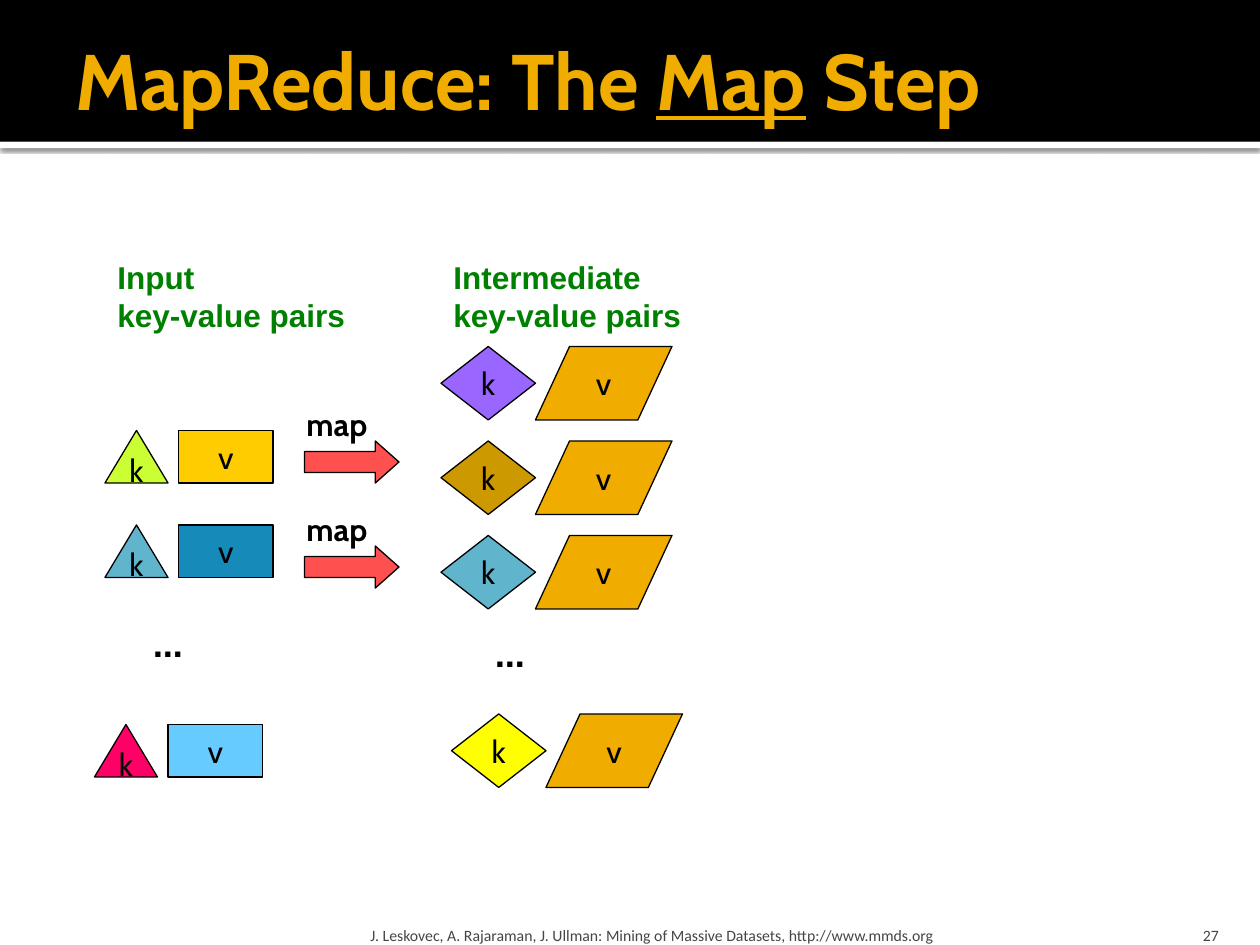
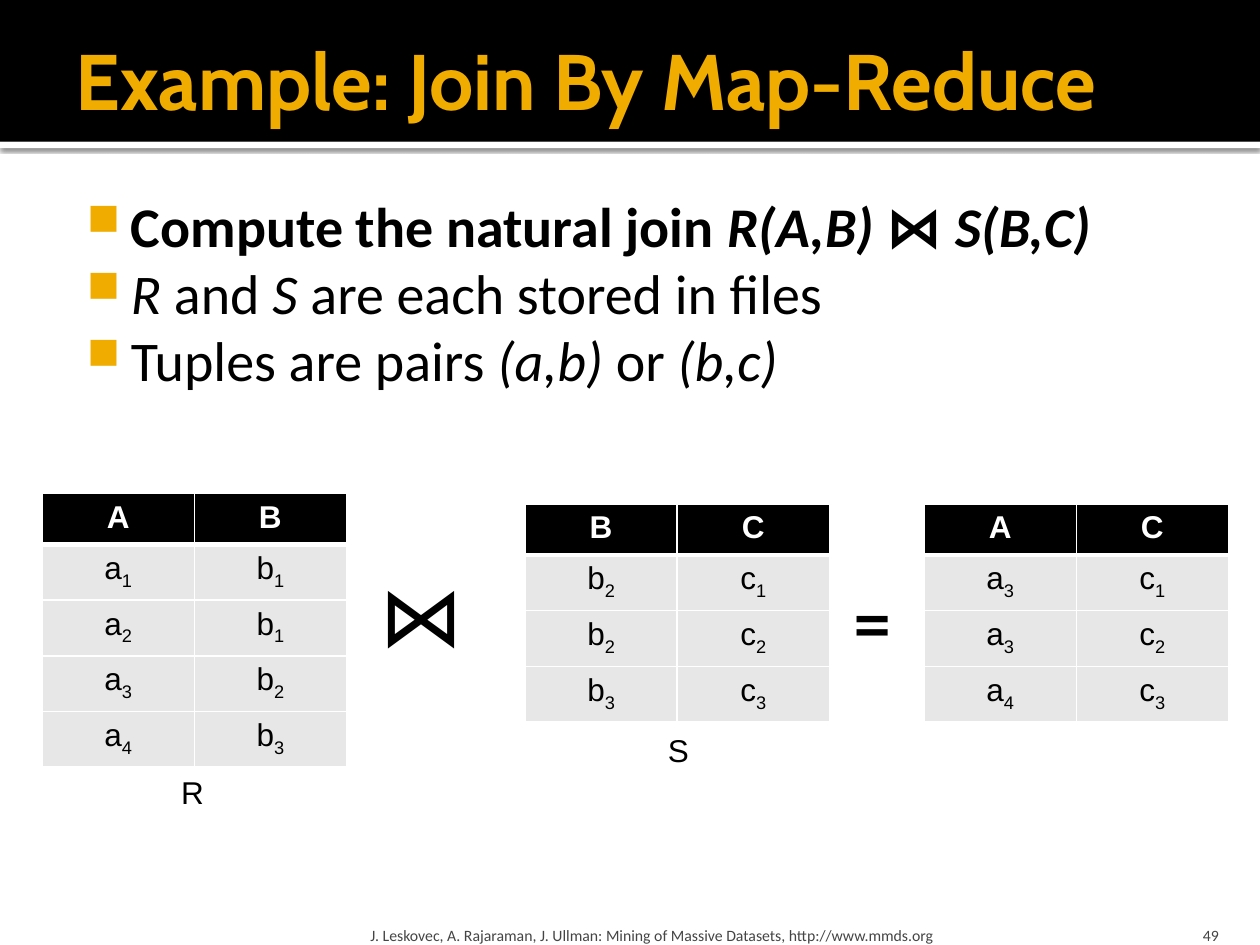
import pptx
import pptx.dml.color
import pptx.enum.shapes
import pptx.enum.text
import pptx.oxml
import pptx.oxml.ns
import pptx.util
import lxml.etree

Pt = pptx.util.Pt
SHAPES = pptx.enum.shapes.MSO_SHAPE
ANCHOR = pptx.enum.text.MSO_ANCHOR
ALIGN = pptx.enum.text.PP_ALIGN

COLORS = {
    "black": "000000",
    "white": "FFFFFF",
    "gold": "F0AD00",
    "green": "008000",
    "footer": "454545",
    "cell": "E7E7E7",
    "arrow": "FF5050",
    "lime": "CCFF33",
    "amber": "FFCC00",
    "teal": "60B5CC",
    "blue": "168BBA",
    "pink": "FF0066",
    "sky": "66CCFF",
    "violet": "9966FF",
    "ochre": "CC9900",
    "yellow": "FFFF00",
}
DISPLAY, BODY, PLAIN = "Cabin", "Calibri", "Arial"
FOOTER = "J. Leskovec, A. Rajaraman, J. Ullman: Mining of Massive Datasets, http://www.mmds.org"
INSETS = (7.2, 3.6, 7.2, 3.6)
CELL_WIDTH, ROW_HEIGHT = 87, 29.2


def rgb(name):
    return pptx.dml.color.RGBColor.from_string(COLORS[name])


def add_xml(parent, tag, **attributes):
    child = lxml.etree.SubElement(parent, pptx.oxml.ns.qn(tag))
    for name, value in attributes.items():
        child.set(name, str(value))
    return child


def write_text(paragraph, text, size=18, font=DISPLAY, color="black",
               bold=False, italic=False, underline=False, subscript=False):
    run = paragraph.add_run()
    run.text = text
    run.font.size = Pt(size)
    run.font.name = font
    run.font.color.rgb = rgb(color)
    run.font.bold = bold
    run.font.italic = italic
    run.font.underline = underline
    if subscript:
        run._r.get_or_add_rPr().set("baseline", "-25000")


def add_text_box(slide, box, lines, anchor=ANCHOR.TOP, align=ALIGN.LEFT,
                 insets=INSETS, wrap=True, **text_format):
    shape = slide.shapes.add_textbox(*map(Pt, box))
    frame = shape.text_frame
    frame.word_wrap = wrap
    if not wrap:
        frame.auto_size = pptx.enum.text.MSO_AUTO_SIZE.SHAPE_TO_FIT_TEXT
    frame.vertical_anchor = anchor
    frame.margin_left, frame.margin_top, frame.margin_right, frame.margin_bottom = map(Pt, insets)
    for index, parts in enumerate(lines):
        paragraph = frame.add_paragraph() if index else frame.paragraphs[0]
        paragraph.alignment = align
        for text, changes in parts:
            write_text(paragraph, text, **{**text_format, **changes})
    return shape


def add_label(slide, box, *lines, **text_format):
    add_text_box(slide, box, [[(line, {})] for line in lines], wrap=False, **text_format)


def add_figure(slide, kind, box, fill, label="", outline=True, adjustments=()):
    shape = slide.shapes.add_shape(kind, *map(Pt, box))
    shape.shadow.inherit = False
    shape.fill.solid()
    shape.fill.fore_color.rgb = rgb(fill)
    if outline:
        shape.line.color.rgb = rgb("black")
        shape.line.width = Pt(0.75)
    else:
        shape.line.fill.background()
    for index, value in enumerate(adjustments):
        shape.adjustments[index] = value
    if label:
        frame = shape.text_frame
        frame.word_wrap = False
        frame.vertical_anchor = ANCHOR.MIDDLE
        frame.paragraphs[0].alignment = ALIGN.CENTER
        write_text(frame.paragraphs[0], label)
    return shape


def add_band_shadow(shape):
    effects = shape._element.spPr.find(pptx.oxml.ns.qn("a:effectLst"))
    shadow = add_xml(effects, "a:outerShdw", blurRad=Pt(2.5), dist=Pt(0.8),
                     dir=5400000, algn="tl", rotWithShape=0)
    color = add_xml(shadow, "a:srgbClr", val=COLORS["black"])
    add_xml(color, "a:alpha", val=60000)


def add_frame(presentation, title, number):
    slide = presentation.slides.add_slide(presentation.slide_layouts[6])
    stripe = add_figure(slide, SHAPES.RECTANGLE, (0, 81, 720, 3.6), "white", outline=False)
    add_band_shadow(stripe)
    add_figure(slide, SHAPES.RECTANGLE, (0, 0, 720, 81), "black", outline=False)
    add_text_box(slide, (36, 6, 648, 78), [title], anchor=ANCHOR.MIDDLE,
                 insets=(7.2, 3.6, 3.6, 3.6), size=45, color="gold", bold=True)
    small_print = {"anchor": ANCHOR.BOTTOM, "size": 9, "font": BODY, "color": "footer"}
    add_text_box(slide, (208, 518.4, 433.5, 21.6), [[(FOOTER, {})]],
                 insets=(3.6, 3.6, 3.6, 0), **small_print)
    add_text_box(slide, (646, 518.4, 57.6, 21.6), [[(str(number), {})]],
                 insets=(7.2, 3.6, 7.2, 0), align=ALIGN.RIGHT, **small_print)
    return slide


def add_input_pair(slide, left, top, key_color, value_color):
    add_figure(slide, SHAPES.RECTANGLE, (left + 42, top, 54, 30), value_color, "v")
    add_figure(slide, SHAPES.ISOSCELES_TRIANGLE, (left, top, 36, 30), key_color, "k")


def add_intermediate_pair(slide, left, top, key_color):
    add_figure(slide, SHAPES.DIAMOND, (left, top, 54, 42), key_color, "k")
    add_figure(slide, SHAPES.PARALLELOGRAM, (left + 54, top, 78, 42), "gold", "v",
               adjustments=(0.464,))


def add_map_arrow(slide, top):
    add_figure(slide, SHAPES.RIGHT_ARROW, (174, top + 24, 54, 24), "arrow",
               adjustments=(0.5, 0.562))
    add_label(slide, (168, top, 49.5, 29), "map", bold=True)


def add_bullet(paragraph):
    properties = paragraph._p.get_or_add_pPr()
    properties.set("marL", str(Pt(34.5)))
    properties.set("indent", str(Pt(-25.2)))
    color = add_xml(properties, "a:buClr")
    add_xml(color, "a:srgbClr", val=COLORS["gold"])
    add_xml(properties, "a:buSzPct", val=80000)
    add_xml(properties, "a:buChar", char="■")


def add_cell_border(cell, side, width):
    line = add_xml(cell._tc.get_or_add_tcPr(), f"a:ln{side}", w=Pt(width))
    fill = add_xml(line, "a:solidFill")
    add_xml(fill, "a:srgbClr", val=COLORS["white"])


def add_relation(slide, left, top, header, rows):
    records = [header, *rows]
    table = slide.shapes.add_table(
        len(records), len(header), Pt(left), Pt(top),
        Pt(CELL_WIDTH * len(header)), Pt(ROW_HEIGHT * len(records))).table
    table.horz_banding = False
    for column in table.columns:
        column.width = Pt(CELL_WIDTH)
    for row_index, record in enumerate(records):
        table.rows[row_index].height = Pt(ROW_HEIGHT)
        is_header = row_index == 0
        for column_index, name in enumerate(record):
            cell = table.cell(row_index, column_index)
            add_cell_border(cell, "L", 1)
            add_cell_border(cell, "R", 1)
            add_cell_border(cell, "T", 3 if row_index == 1 else 1)
            add_cell_border(cell, "B", 3 if is_header else 1)
            cell.fill.solid()
            cell.fill.fore_color.rgb = rgb("black" if is_header else "cell")
            paragraph = cell.text_frame.paragraphs[0]
            paragraph.alignment = ALIGN.CENTER
            if is_header:
                write_text(paragraph, name, font=PLAIN, color="white", bold=True)
            else:
                write_text(paragraph, name[0], font=PLAIN)
                write_text(paragraph, name[1:], font=PLAIN, subscript=True)


def build_map_step(presentation):
    title = [("MapReduce: The ", {}), ("Map", {"underline": True}), (" Step", {})]
    slide = add_frame(presentation, title, 27)
    for left, heading in ((60, "Input"), (252, "Intermediate")):
        add_label(slide, (left, 144, 146, 51), heading, "key-value pairs",
                  font=PLAIN, color="green", bold=True)
    add_input_pair(slide, 60, 246, "lime", "amber")
    add_input_pair(slide, 60, 300, "teal", "blue")
    add_input_pair(slide, 54, 414, "pink", "sky")
    for index, key_color in enumerate(("violet", "ochre", "teal")):
        add_intermediate_pair(slide, 252, 198 + 54 * index, key_color)
    add_intermediate_pair(slide, 258, 408, "yellow")
    for top in (228, 288):
        add_map_arrow(slide, top)
    for left, top in ((80.5, 348), (276, 354)):
        add_label(slide, (left, top, 39.5, 36), "…", size=24, bold=True)


def build_join(presentation):
    slide = add_frame(presentation, [("Example: Join By Map-Reduce", {})], 49)
    bold, italic = {"bold": True}, {"italic": True}
    bold_italic = {**bold, **italic}
    points = [
        [("Compute the natural join ", bold), ("R(A,B) ", bold_italic),
         ("⋈", bold), (" S(B,C)", bold_italic)],
        [("R", italic), (" and ", {}), ("S", italic), (" are each stored in files", {})],
        [("Tuples are pairs ", {}), ("(a,b)", italic), (" or ", {}), ("(b,c)", italic)],
    ]
    body = add_text_box(slide, (36, 102, 648, 168), points,
                        insets=(4.3, 7.2, 7.2, 3.6), size=32, font=BODY)
    for paragraph in body.text_frame.paragraphs:
        add_bullet(paragraph)
    add_relation(slide, 24, 282, ("A", "B"),
                 [("a1", "b1"), ("a2", "b1"), ("a3", "b2"), ("a4", "b3")])
    add_relation(slide, 300, 288, ("B", "C"), [("b2", "c1"), ("b2", "c2"), ("b3", "c3")])
    add_relation(slide, 528, 288, ("A", "C"), [("a3", "c1"), ("a3", "c2"), ("a4", "c3")])
    add_label(slide, (210, 318, 54.5, 65.5), "⋈", size=48)
    add_label(slide, (479.5, 319.5, 39.5, 65.5), "=", size=48)
    add_label(slide, (96.5, 438, 27.5, 29), "R", font=PLAIN)
    add_label(slide, (374.5, 414, 27.5, 29), "S", font=PLAIN)


def main():
    presentation = pptx.Presentation()
    presentation.slide_width = Pt(720)
    presentation.slide_height = Pt(540)
    build_map_step(presentation)
    build_join(presentation)
    presentation.save("out.pptx")


if __name__ == "__main__":
    main()
